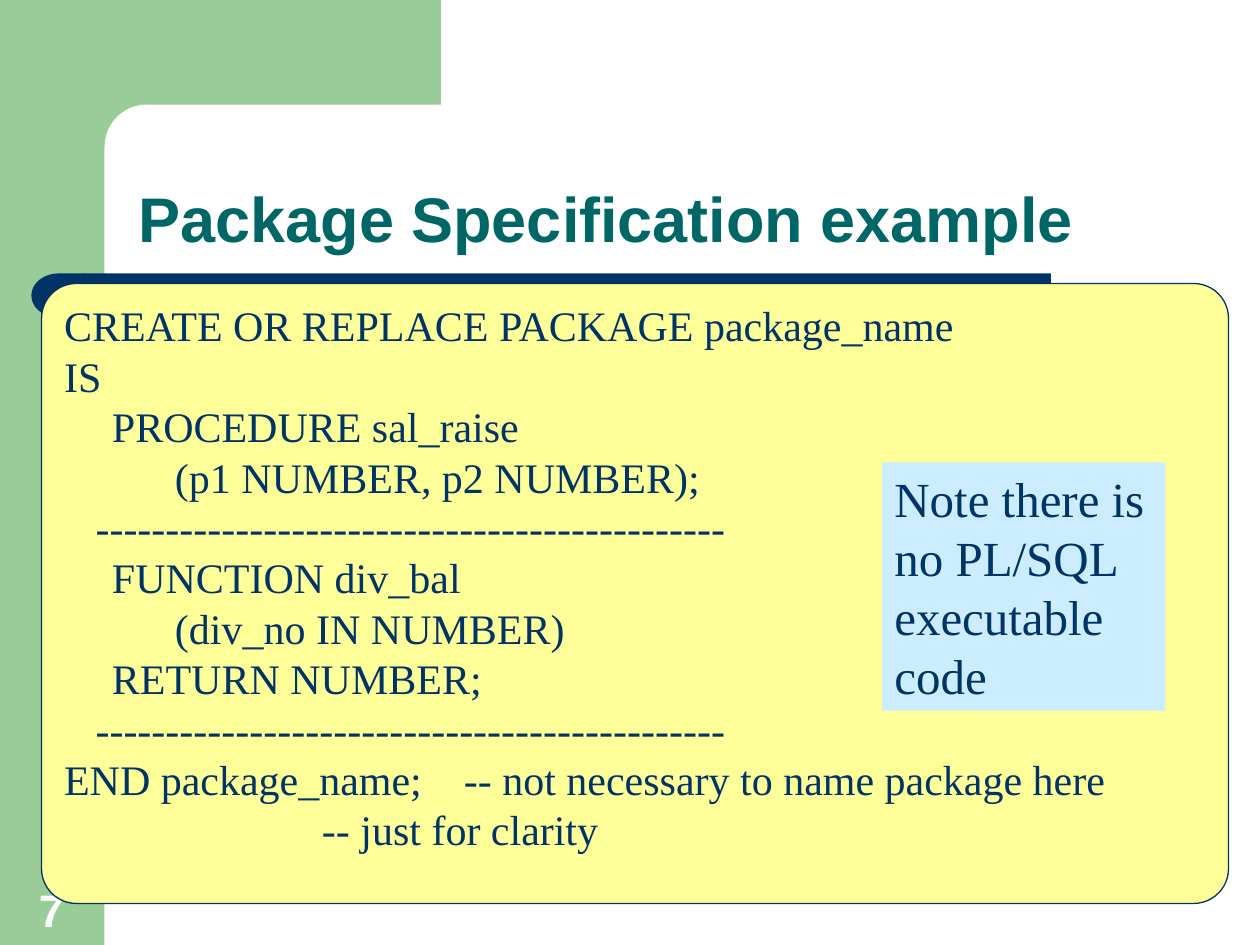
import pptx
import pptx.util
import pptx.dml.color
import pptx.enum.shapes
import pptx.enum.text
import pptx.oxml.ns
import lxml.etree

Inches = pptx.util.Inches
RGBColor = pptx.dml.color.RGBColor
Shape = pptx.enum.shapes.MSO_SHAPE
Anchor = pptx.enum.text.MSO_ANCHOR
Align = pptx.enum.text.PP_ALIGN
qn = pptx.oxml.ns.qn

GREEN = RGBColor(0x99, 0xCC, 0x99)
WHITE = RGBColor(0xFF, 0xFF, 0xFF)
NAVY = RGBColor(0x00, 0x33, 0x66)
TEAL = RGBColor(0x00, 0x66, 0x66)
YELLOW = RGBColor(0xFF, 0xFF, 0x99)
LIGHT_BLUE = RGBColor(0xCC, 0xEC, 0xFF)

RULE = "   " + "-" * 45
CODE = f"""CREATE OR REPLACE PACKAGE package_name
IS
\tPROCEDURE sal_raise
\t\t(p1 NUMBER, p2 NUMBER);
{RULE}
\tFUNCTION div_bal
\t\t(div_no IN NUMBER)
\tRETURN NUMBER;
{RULE}
END package_name;    -- not necessary to name package here
\t\t\t\t  -- just for clarity"""


def add_filled_shape(kind, left, top, width, height, color, corner=None):
    shape = slide.shapes.add_shape(
        kind, Inches(left), Inches(top), Inches(width), Inches(height))
    shape.shadow.inherit = False
    shape.fill.solid()
    shape.fill.fore_color.rgb = color
    shape.line.fill.background()
    if corner is not None:
        shape.adjustments[0] = corner
    return shape


def write_text(shape, text, *, font, size, color, bold=False, align=Align.LEFT,
               anchor=Anchor.TOP, hanging=0, line_spacing=None):
    """Fill the shape with one paragraph per line, with tab stops every inch."""
    frame = shape.text_frame
    frame.word_wrap = True
    frame.auto_size = pptx.enum.text.MSO_AUTO_SIZE.NONE
    frame.vertical_anchor = anchor
    for index, line in enumerate(text.split("\n")):
        paragraph = frame.add_paragraph() if index else frame.paragraphs[0]
        properties = paragraph._p.get_or_add_pPr()
        properties.set("marL", str(Inches(hanging)))
        properties.set("indent", str(-Inches(hanging)))
        tabs = lxml.etree.SubElement(properties, qn("a:tabLst"))
        for stop in range(8):
            lxml.etree.SubElement(tabs, qn("a:tab"), pos=str(Inches(stop)), algn="l")
        paragraph.alignment = align
        if line_spacing:
            paragraph.line_spacing = line_spacing
        run = paragraph.add_run()
        run.text = line
        run.font.name = font
        run.font.size = pptx.util.Pt(size)
        run.font.bold = bold
        run.font.color.rgb = color


presentation = pptx.Presentation()
presentation.slide_width = Inches(10)
presentation.slide_height = Inches(7.5)
slide = presentation.slides.add_slide(presentation.slide_layouts[5])

# Green frame with a rounded inner corner
add_filled_shape(Shape.RECTANGLE, 0, 0, 0.83, 7.5, GREEN)
add_filled_shape(Shape.RECTANGLE, 0.75, 0, 2.75, 1.17, GREEN)
add_filled_shape(Shape.ROUNDED_RECTANGLE, 0.83, 0.83, 5.58, 0.67, WHITE, corner=0.5)

# Navy bar under the title
add_filled_shape(Shape.ROUNDED_RECTANGLE, 0.67, 2.17, 7.67, 0.35, NAVY, corner=0)
bar_end = add_filled_shape(Shape.FLOWCHART_DELAY, 0.25, 2.17, 0.43, 0.35, NAVY)
bar_end._element.spPr.xfrm.set("flipH", "1")

slide_number = slide.shapes.add_textbox(
    Inches(0.09), Inches(6.94), Inches(0.64), Inches(0.54))
write_text(slide_number, "7", font="Arial", size=26, color=WHITE, bold=True,
           align=Align.CENTER, anchor=Anchor.BOTTOM)

title = slide.shapes.title
title.left, title.top = Inches(1), Inches(0.83)
title.width, title.height = Inches(8.75), Inches(1.25)
write_text(title, "Package Specification example", font="Arial", size=36,
           color=TEAL, bold=True, anchor=Anchor.BOTTOM, line_spacing=0.9)
slide.shapes._spTree.append(title._element)  # bring in front of the frame

code_box = add_filled_shape(
    Shape.ROUNDED_RECTANGLE, 0.33, 2.25, 9.42, 4.92, YELLOW, corner=0.056)
code_box.line.color.rgb = NAVY
code_box.line.width = pptx.util.Pt(0.75)
write_text(code_box, CODE, font="Times New Roman", size=24, color=NAVY, hanging=0.38)

note = add_filled_shape(Shape.RECTANGLE, 7, 3.67, 2.25, 1.97, LIGHT_BLUE)
write_text(note, "Note there is no PL/SQL executable code",
           font="Times New Roman", size=28, color=NAVY)

presentation.save("out.pptx")
